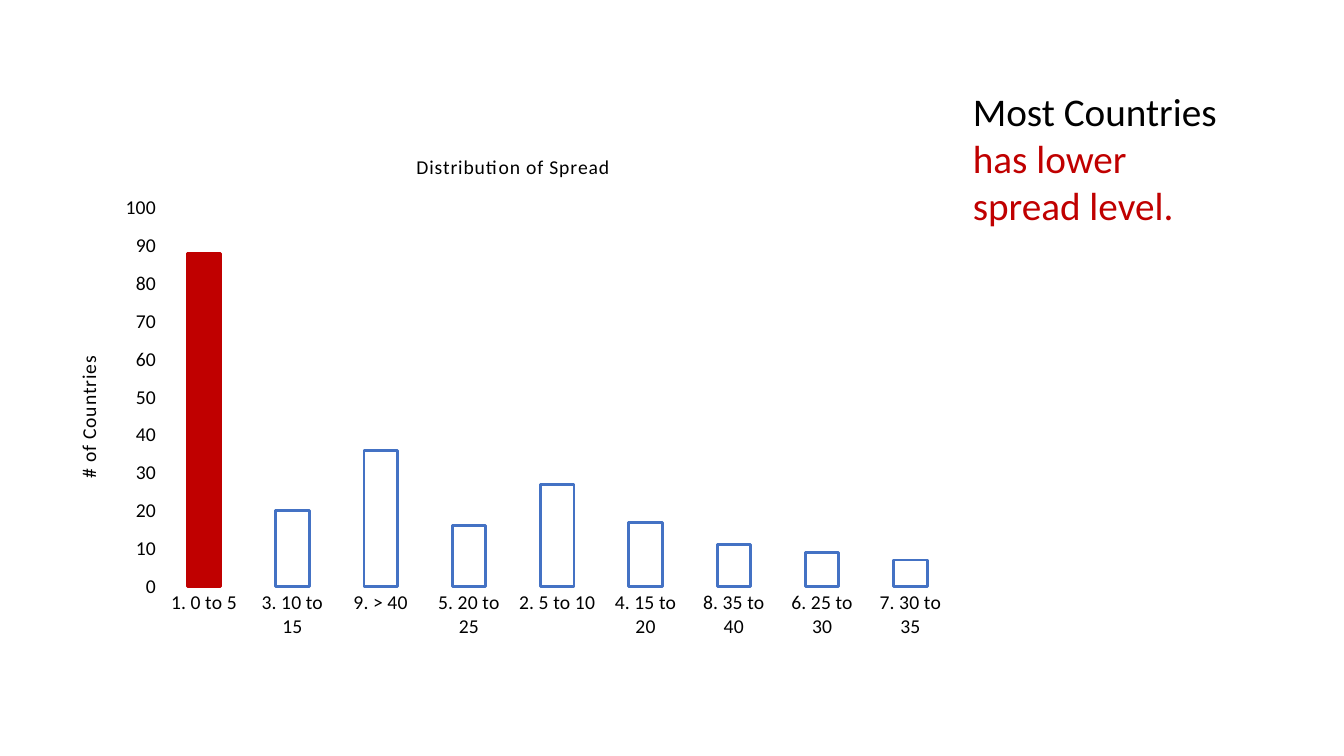
from dataclasses import dataclass

from pptx import Presentation
from pptx.chart.data import CategoryChartData
from pptx.dml.color import RGBColor
from pptx.enum import chart as ch, text as tx
from pptx.util import Inches, Pt


@dataclass(frozen=True)
class Theme:
    font: str = "Calibri"
    ink: RGBColor = RGBColor(0x00, 0x00, 0x00)
    accent: RGBColor = RGBColor(0xC0, 0x00, 0x00)
    outline: RGBColor = RGBColor(0x44, 0x72, 0xC4)
    chart_size: Pt = Pt(14)
    message_size: Pt = Pt(28)
    bar_line: Pt = Pt(2)


THEME = Theme()

COUNTRIES_BY_SPREAD = {
    "1. 0 to 5": 88,
    "3. 10 to 15": 20,
    "9. > 40": 36,
    "5. 20 to 25": 16,
    "2. 5 to 10": 27,
    "4. 15 to 20": 17,
    "8. 35 to 40": 11,
    "6. 25 to 30": 9,
    "7. 30 to 35": 7,
}


def style_font(font, size, color=THEME.ink):
    font.name = THEME.font
    font.size = size
    font.bold = False
    font.color.rgb = color


def set_title(owner, wording):
    """Title a chart or an axis in slightly spaced letters."""
    paragraph = owner.text_frame.paragraphs[0]
    style_font(paragraph.font, THEME.chart_size)
    run = paragraph.add_run()
    run.text = wording
    style_font(run.font, THEME.chart_size)
    run.font._element.set("spc", "50")


def style_axis(axis):
    axis.has_major_gridlines = False
    axis.major_tick_mark = ch.XL_TICK_MARK.NONE
    axis.minor_tick_mark = ch.XL_TICK_MARK.NONE
    axis.format.line.fill.background()
    style_font(axis.tick_labels.font, THEME.chart_size)


def style_bars(plot):
    """Outline every bar and fill the first one."""
    plot.gap_width = 164
    plot.overlap = -35
    plot.vary_by_categories = False
    spread = plot.series[0]
    spread.format.fill.background()
    spread.format.line.color.rgb = THEME.outline
    spread.format.line.width = THEME.bar_line
    lowest = spread.points[0].format
    lowest.fill.solid()
    lowest.fill.fore_color.rgb = THEME.accent
    lowest.line.color.rgb = THEME.accent
    lowest.line.width = THEME.bar_line


def add_spread_chart(slide, left, top, width, height):
    data = CategoryChartData()
    data.categories = list(COUNTRIES_BY_SPREAD)
    data.add_series("Series 1", list(COUNTRIES_BY_SPREAD.values()))
    chart = slide.shapes.add_chart(
        ch.XL_CHART_TYPE.COLUMN_CLUSTERED, left, top, width, height, data
    ).chart
    style_font(chart.font, THEME.chart_size)
    chart.has_legend = False
    set_title(chart.chart_title, "Distribution of Spread")
    for axis in (chart.category_axis, chart.value_axis):
        style_axis(axis)
    countries = chart.value_axis
    countries.minimum_scale = 0
    countries.maximum_scale = 100
    countries.major_unit = 10
    set_title(countries.axis_title, "# of Countries")
    style_bars(chart.plots[0])


def add_message(slide, left, top, width, height, parts):
    """Write one paragraph from (wording, colour) parts."""
    frame = slide.shapes.add_textbox(left, top, width, height).text_frame
    frame.word_wrap = True
    frame.auto_size = tx.MSO_AUTO_SIZE.SHAPE_TO_FIT_TEXT
    paragraph = frame.paragraphs[0]
    for wording, color in parts:
        run = paragraph.add_run()
        run.text = wording
        style_font(run.font, THEME.message_size, color)


def main():
    deck = Presentation()
    deck.slide_width = Inches(13.33)
    deck.slide_height = Inches(7.5)
    slide = deck.slides.add_slide(deck.slide_layouts[6])
    add_spread_chart(slide, Inches(0.53), Inches(1.33), Inches(9.12), Inches(5.11))
    add_message(
        slide, Inches(9.55), Inches(0.82), Inches(2.81), Inches(1.51),
        [("Most Countries ", THEME.ink), ("has lower spread level.", THEME.accent)],
    )
    deck.save("out.pptx")


if __name__ == "__main__":
    main()
